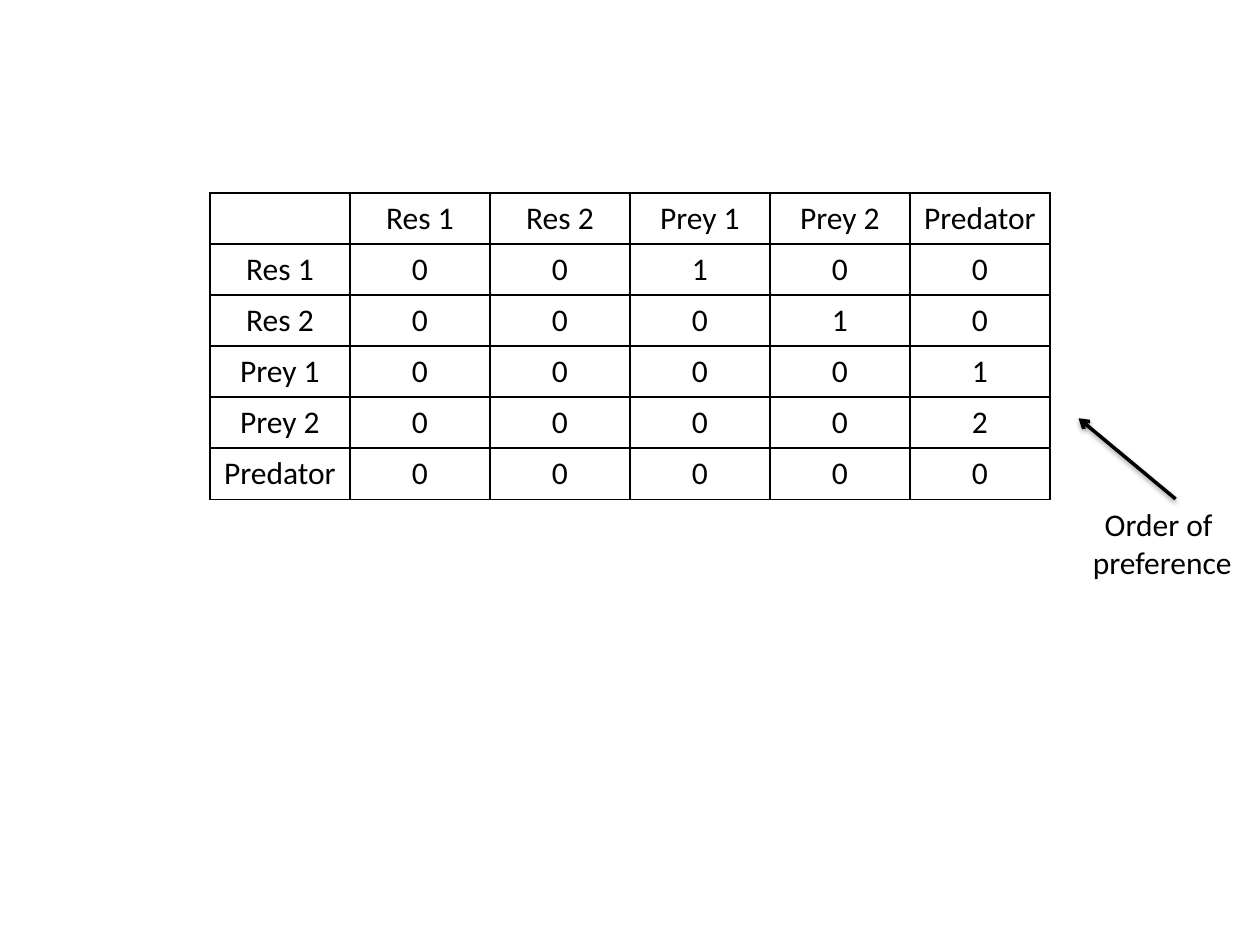
from lxml import etree
from pptx import Presentation
from pptx.dml.color import RGBColor
from pptx.enum.shapes import MSO_CONNECTOR
from pptx.enum.text import MSO_ANCHOR, MSO_AUTO_SIZE, PP_ALIGN
from pptx.oxml import parse_xml
from pptx.oxml.ns import nsdecls, qn
from pptx.util import Inches, Pt

BLACK = RGBColor(0, 0, 0)
WHITE = RGBColor(255, 255, 255)
CENTER = PP_ALIGN.CENTER
MIDDLE = MSO_ANCHOR.MIDDLE
STRAIGHT = MSO_CONNECTOR.STRAIGHT
FIT_SHAPE = MSO_AUTO_SIZE.SHAPE_TO_FIT_TEXT

# Content: who (column) eats whom (row), ranked by preference
SPECIES = ["Res 1", "Res 2", "Prey 1", "Prey 2", "Predator"]
DIET = [
    [0, 0, 1, 0, 0],
    [0, 0, 0, 1, 0],
    [0, 0, 0, 0, 1],
    [0, 0, 0, 0, 2],
    [0, 0, 0, 0, 0],
]
NOTE = ["Order of ", "preference"]
FONT = {"name": "Calibri", "size": Pt(18)}

# Layout: the table spans two thirds of the slide width
SLIDE_WIDTH, SLIDE_HEIGHT = Inches(10), Inches(7.5)
TABLE_WIDTH = SLIDE_WIDTH * 2 // 3
TABLE_LEFT, TABLE_TOP = (SLIDE_WIDTH - TABLE_WIDTH) // 2, Inches(1.53)
GRID_SIZE = len(SPECIES) + 1
COLUMN_WIDTH = TABLE_WIDTH // GRID_SIZE
ROW_HEIGHT = Inches(2.43) // GRID_SIZE
TABLE_BOTTOM = TABLE_TOP + ROW_HEIGHT * GRID_SIZE
NOTE_LEFT, NOTE_WIDTH, NOTE_HEIGHT = Inches(8.56), Inches(1.33), Inches(0.71)
ARROW_START_X, ARROW_TIP_Y = Inches(9.33), Inches(3.32)


def write(paragraph, text):
    paragraph.alignment = CENTER
    run = paragraph.add_run()
    run.text = text
    for name, value in FONT.items():
        setattr(run.font, name, value)
    run.font.color.rgb = BLACK


def add_borders(cell):
    properties = cell._tc.get_or_add_tcPr()
    for side in ("lnL", "lnR", "lnT", "lnB"):
        properties.append(parse_xml(
            f'<a:{side} {nsdecls("a")} w="{Pt(1)}"><a:solidFill>'
            f'<a:srgbClr val="{BLACK}"/></a:solidFill></a:{side}>'))


presentation = Presentation()
presentation.slide_width, presentation.slide_height = SLIDE_WIDTH, SLIDE_HEIGHT
slide = presentation.slides.add_slide(presentation.slide_layouts[6])
slide.background.fill.solid()
slide.background.fill.fore_color.rgb = WHITE

# Diet matrix
rows = [[""] + SPECIES] + [[name] + values for name, values in zip(SPECIES, DIET)]
table = slide.shapes.add_table(
    GRID_SIZE, GRID_SIZE, TABLE_LEFT, TABLE_TOP,
    COLUMN_WIDTH * GRID_SIZE, ROW_HEIGHT * GRID_SIZE).table
table.first_row = table.horz_banding = False
for index, values in enumerate(rows):
    table.columns[index].width = COLUMN_WIDTH
    table.rows[index].height = ROW_HEIGHT
    for column, value in enumerate(values):
        cell = table.cell(index, column)
        cell.vertical_anchor = MIDDLE
        add_borders(cell)
        cell.fill.background()
        if value != "":
            write(cell.text_frame.paragraphs[0], str(value))

# Arrow from the note to the ranked prey, with a soft shadow
arrow = slide.shapes.add_connector(
    STRAIGHT, ARROW_START_X, TABLE_BOTTOM, NOTE_LEFT, ARROW_TIP_Y)
arrow.line.color.rgb = BLACK
arrow.line.width = Pt(2)
etree.SubElement(arrow.line._get_or_add_ln(), qn("a:tailEnd"), type="arrow")
arrow._element.spPr.append(parse_xml(
    f'<a:effectLst {nsdecls("a")}><a:outerShdw blurRad="{Pt(3.1)}" '
    f'dist="{Pt(1.6)}" dir="5400000" rotWithShape="0"><a:srgbClr val="{BLACK}">'
    '<a:alpha val="38000"/></a:srgbClr></a:outerShdw></a:effectLst>'))

# Note
note = slide.shapes.add_textbox(NOTE_LEFT, TABLE_BOTTOM, NOTE_WIDTH, NOTE_HEIGHT)
frame = note.text_frame
frame.word_wrap = False
frame.auto_size = FIT_SHAPE
for index, text in enumerate(NOTE):
    write(frame.add_paragraph() if index else frame.paragraphs[0], text)

presentation.save("out.pptx")
